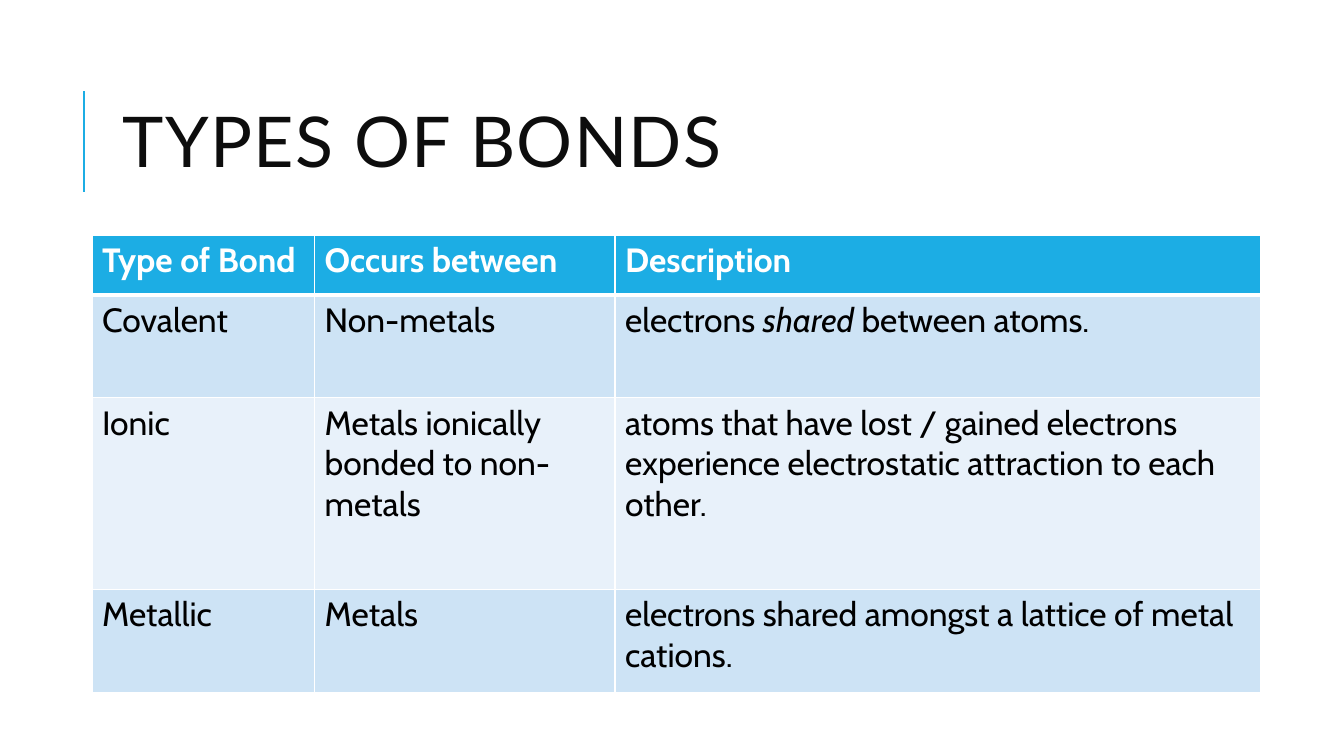
from dataclasses import dataclass

from lxml import etree
from pptx import Presentation
from pptx.dml.color import RGBColor
from pptx.enum.shapes import MSO_CONNECTOR
from pptx.enum.text import MSO_ANCHOR, MSO_AUTO_SIZE, PP_ALIGN
from pptx.oxml.ns import qn
from pptx.util import Cm, Pt

STRAIGHT = MSO_CONNECTOR.STRAIGHT
MIDDLE = MSO_ANCHOR.MIDDLE
LEFT = PP_ALIGN.LEFT
NO_AUTOFIT = MSO_AUTO_SIZE.NONE
TITLE_ONLY = 5

TITLE = "TYPES OF BONDS"
HEADINGS = ("Type of Bond", "Occurs between", "Description")
BONDS = (
    ("Covalent", "Non-metals", ("electrons ", "shared", " between atoms.")),
    (
        "Ionic",
        "Metals ionically bonded to non-metals",
        "atoms that have lost / gained electrons experience "
        "electrostatic attraction to each other.",
    ),
    ("Metallic", "Metals", "electrons shared amongst a lattice of metal cations."),
)
ITALIC_WORDS = {"shared"}

SLIDE_SIZE = (33.87, 19.05)
TITLE_BOX = (2.84, 1.63, 27, 4.17)
ACCENT_LINE = (2.11, 4.83, 2.11, 2.29)
TABLE_ORIGIN = (2.32, 5.93)
COLUMN_WIDTHS = (5.61, 7.57, 16.26)
ROW_HEIGHTS = (1.5, 2.59, 4.83, 2.59)


@dataclass(frozen=True)
class Theme:
    accent: str = "1CADE4"
    band_dark: str = "CDE3F5"
    band_light: str = "E8F1FA"
    white: str = "FFFFFF"
    title_ink: str = "0D0D0D"
    body_ink: str = "000000"
    title_font: str = "Lato"
    body_font: str = "Cabin"
    title_size: int = 50
    body_size: int = 24
    accent_weight: float = 1.5
    border_weight: int = 1
    header_rule_weight: int = 3
    tracking: int = 100


THEME = Theme()
TITLE_FORMAT = {"name": THEME.title_font, "size": Pt(THEME.title_size), "bold": False}
BODY_FORMAT = {"name": THEME.body_font, "size": Pt(THEME.body_size), "bold": False}
HEADER_FORMAT = {**BODY_FORMAT, "bold": True}


def format_span(span, values, colour):
    for name, value in values.items():
        setattr(span.font, name, value)
    span.font.color.rgb = RGBColor.from_string(colour)


def add_title(page):
    title = page.shapes.title
    box = dict(zip(("left", "top", "width", "height"), map(Cm, TITLE_BOX)))
    for name, value in box.items():
        setattr(title, name, value)
    frame = title.text_frame
    frame.auto_size = NO_AUTOFIT
    frame.vertical_anchor = MIDDLE
    para = frame.paragraphs[0]
    para.alignment = LEFT
    para.line_spacing = 0.8
    span = para.add_run()
    span.text = TITLE
    format_span(span, TITLE_FORMAT, THEME.title_ink)
    span.font._element.set("spc", str(THEME.tracking))


def add_accent_line(page):
    line = page.shapes.add_connector(STRAIGHT, *map(Cm, ACCENT_LINE))
    line.line.color.rgb = RGBColor.from_string(THEME.accent)
    line.line.width = Pt(THEME.accent_weight)
    etree.SubElement(line._element.spPr, qn("a:effectLst"))


def set_borders(cell, weights):
    properties = cell._tc.get_or_add_tcPr()
    for side, weight in weights.items():
        border = etree.SubElement(properties, qn(f"a:ln{side}"), w=str(Pt(weight)))
        fill = etree.SubElement(border, qn("a:solidFill"))
        etree.SubElement(fill, qn("a:srgbClr"), val=THEME.white)


def fill_cell(cell, content, row):
    header = row == 0
    weights = dict.fromkeys("LRTB", THEME.border_weight)
    if row < 2:
        weights["B" if header else "T"] = THEME.header_rule_weight
    set_borders(cell, weights)

    band = THEME.band_dark if row % 2 else THEME.band_light
    cell.fill.solid()
    cell.fill.fore_color.rgb = RGBColor.from_string(THEME.accent if header else band)

    values = HEADER_FORMAT if header else BODY_FORMAT
    colour = THEME.white if header else THEME.body_ink
    para = cell.text_frame.paragraphs[0]
    for text in (content,) if isinstance(content, str) else content:
        span = para.add_run()
        span.text = text
        format_span(span, {**values, "italic": text in ITALIC_WORDS}, colour)


def add_bond_table(page):
    rows = (HEADINGS, *BONDS)
    size = (sum(COLUMN_WIDTHS), sum(ROW_HEIGHTS))
    table = page.shapes.add_table(
        len(rows), len(HEADINGS), *map(Cm, TABLE_ORIGIN + size)
    ).table
    for column, width in zip(table.columns, COLUMN_WIDTHS):
        column.width = Cm(width)
    for row, height in zip(table.rows, ROW_HEIGHTS):
        row.height = Cm(height)
    for row, contents in enumerate(rows):
        for column, content in enumerate(contents):
            fill_cell(table.cell(row, column), content, row)


def main():
    deck = Presentation()
    deck.slide_width, deck.slide_height = map(Cm, SLIDE_SIZE)
    page = deck.slides.add_slide(deck.slide_layouts[TITLE_ONLY])
    add_accent_line(page)
    add_title(page)
    add_bond_table(page)
    deck.save("out.pptx")


if __name__ == "__main__":
    main()
